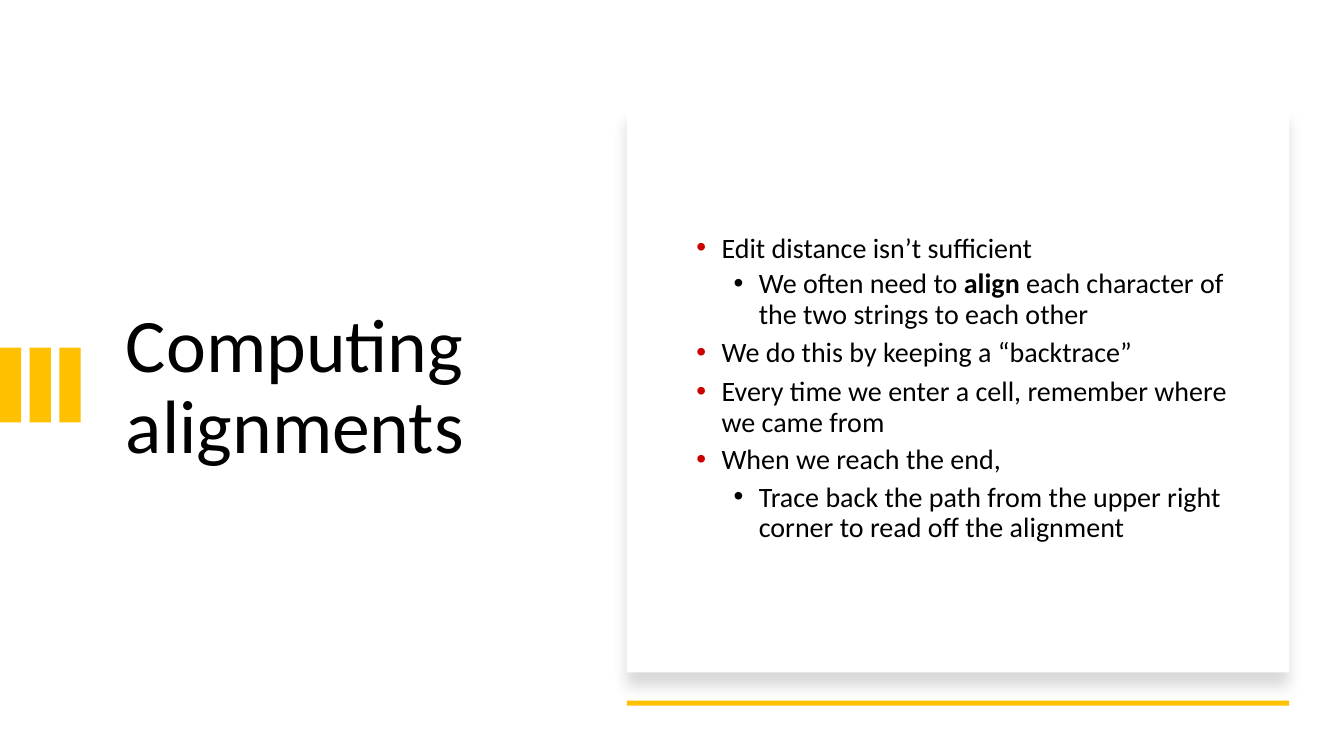
import pptx
import pptx.dml.color
import pptx.enum.shapes
import pptx.enum.text
import pptx.oxml
import pptx.oxml.ns
import pptx.util
from lxml import etree

Pt = pptx.util.Pt
FONT = "Calibri"
COLORS = {
    "background": "FFFFFF",
    "text": "000000",
    "accent": "FFC000",
    "bullet": "CC0000",
    "shadow": "000000",
}
POINTS = [
    (0, 5.8, ["Edit distance isn’t sufficient"]),
    (1, 4, ["We often need to ", "align", " each character of the two strings to each other"]),
    (0, 6, ["We do this by keeping a “backtrace”"]),
    (0, 6.2, ["Every time we enter a cell, remember where we came from"]),
    (0, 5.2, ["When we reach the end,"]),
    (1, 5.2, ["Trace back the path from the upper right corner to read oﬀ the alignment"]),
]
INDENTS = [28.08, 54.72]
HANGING = -18


def rgb(name):
    return pptx.dml.color.RGBColor.from_string(COLORS[name])


def add_block(shapes, box, color):
    block = shapes.add_shape(
        pptx.enum.shapes.MSO_SHAPE.RECTANGLE, *[Pt(length) for length in box])
    block.shadow.inherit = False
    block.fill.solid()
    block.fill.fore_color.rgb = rgb(color)
    block.line.fill.background()
    return block


def format_paragraph(paragraph, size):
    paragraph.font.name = FONT
    paragraph.font.size = Pt(size)
    paragraph.font.color.rgb = rgb("text")
    paragraph.alignment = pptx.enum.text.PP_ALIGN.LEFT
    paragraph.line_spacing = 0.9


def format_frame(frame):
    frame.word_wrap = True
    frame.auto_size = pptx.enum.text.MSO_AUTO_SIZE.NONE
    frame.vertical_anchor = pptx.enum.text.MSO_ANCHOR.MIDDLE


def set_bullet(paragraph, level):
    properties = paragraph._p.get_or_add_pPr()
    properties.set("marL", str(Pt(INDENTS[level])))
    properties.set("indent", str(Pt(HANGING)))
    color = COLORS["text" if level else "bullet"]
    namespace = pptx.oxml.ns.nsdecls("a")
    for markup in (
        f'<a:buClr {namespace}><a:srgbClr val="{color}"/></a:buClr>',
        f'<a:buFont {namespace} typeface="Arial"/>',
        f'<a:buChar {namespace} char="•"/>',
    ):
        properties.insert_element_before(
            pptx.oxml.parse_xml(markup), "a:tabLst", "a:defRPr", "a:extLst")


def add_shadow(block, blur, distance, opacity):
    qn = pptx.oxml.ns.qn
    effects = block._element.spPr.find(qn("a:effectLst"))
    shadow = etree.SubElement(
        effects, qn("a:outerShdw"), blurRad=str(Pt(blur)), dist=str(Pt(distance)),
        dir="5400000", algn="t", rotWithShape="0")
    color = etree.SubElement(shadow, qn("a:srgbClr"), val=COLORS["shadow"])
    etree.SubElement(color, qn("a:alpha"), val=str(opacity * 1000))


def place_title(slide, left, top, width, height):
    title = slide.shapes.title
    title.left, title.top = Pt(left), Pt(top)
    title.width, title.height = Pt(width), Pt(height)
    title.text_frame.text = "Computing alignments"
    format_frame(title.text_frame)
    heading = title.text_frame.paragraphs[0]
    format_paragraph(heading, 54)
    heading.space_after = Pt(6)
    heading._p.get_or_add_pPr().set("marL", str(Pt(0.72)))


def add_bars(slide, left, top, width, height):
    bars = slide.shapes.add_group_shape()
    bar_width = 15.12
    pitch = (width - bar_width) / 2
    for index in range(3):
        add_block(bars.shapes, (left + index * pitch, top, bar_width, height), "accent")


def add_card(slide, left, top, width, height):
    card = add_block(slide.shapes, (left, top, width, height), "background")
    add_shadow(card, 11, 10, 15)
    margin_x, margin_y = 32.4, 30.96
    body = slide.shapes.add_textbox(
        Pt(left + margin_x), Pt(top + margin_y), Pt(411.12), Pt(339.12))
    frame = body.text_frame
    format_frame(frame)
    for index, (level, space, pieces) in enumerate(POINTS):
        point = frame.add_paragraph() if index else frame.paragraphs[0]
        point.level = level
        format_paragraph(point, 20)
        point.space_before = Pt(space)
        set_bullet(point, level)
        for position, piece in enumerate(pieces):
            run = point.add_run()
            run.text = piece
            if position == 1:
                run.font.bold = True
    add_block(slide.shapes, (left, top + height + 20.16, width, 3.6), "accent")


def main():
    presentation = pptx.Presentation()
    presentation.slide_width, presentation.slide_height = Pt(960), Pt(540)
    slide = presentation.slides.add_slide(presentation.slide_layouts[5])
    slide.background.fill.solid()
    slide.background.fill.fore_color.rgb = rgb("background")
    place_title(slide, 82.08, 108, 306.72, 339.12)
    add_bars(slide, 0, 248.4, 57.6, 53.28)
    add_card(slide, 447.84, 77.04, 473.04, 403.2)
    presentation.save("out.pptx")


if __name__ == "__main__":
    main()
